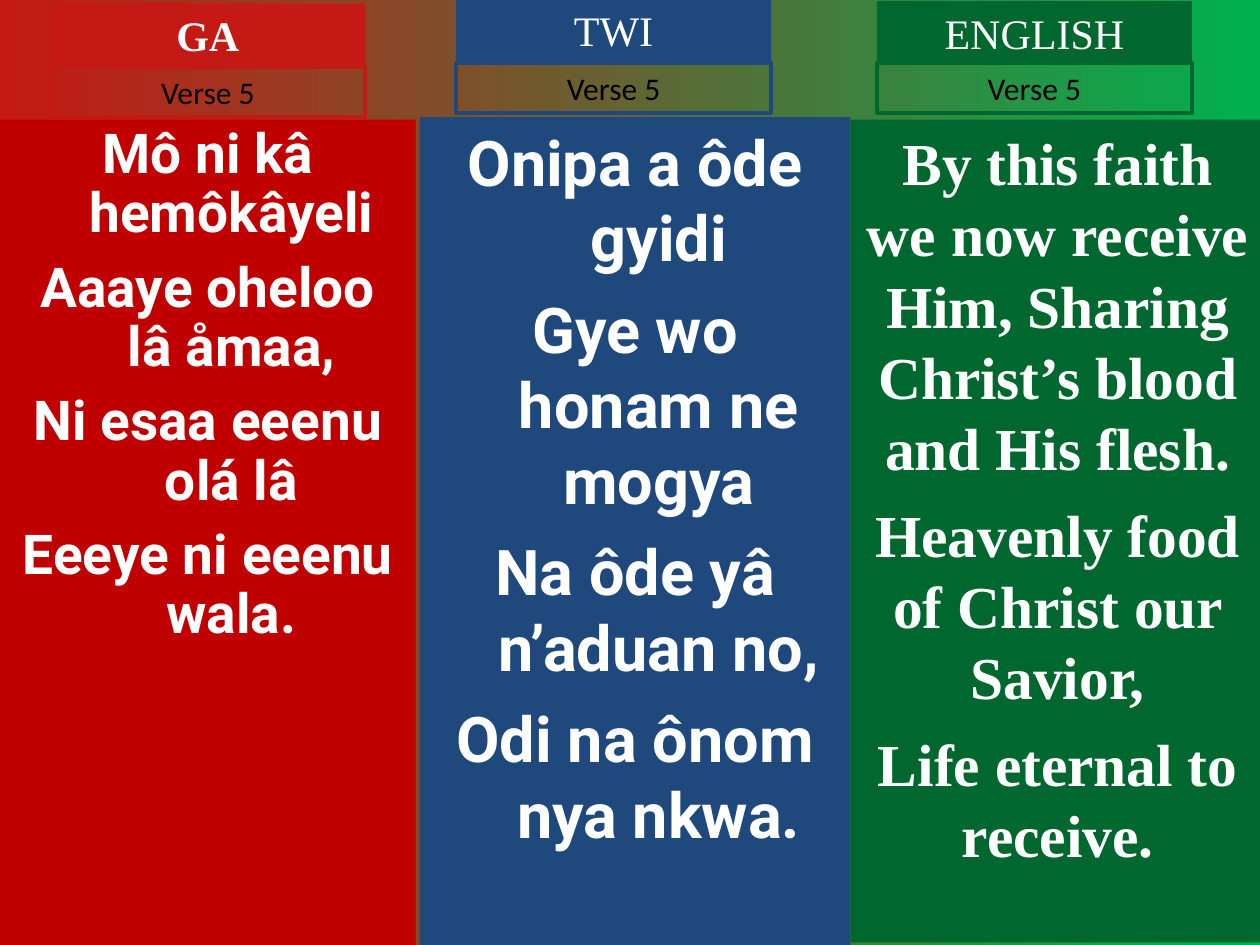
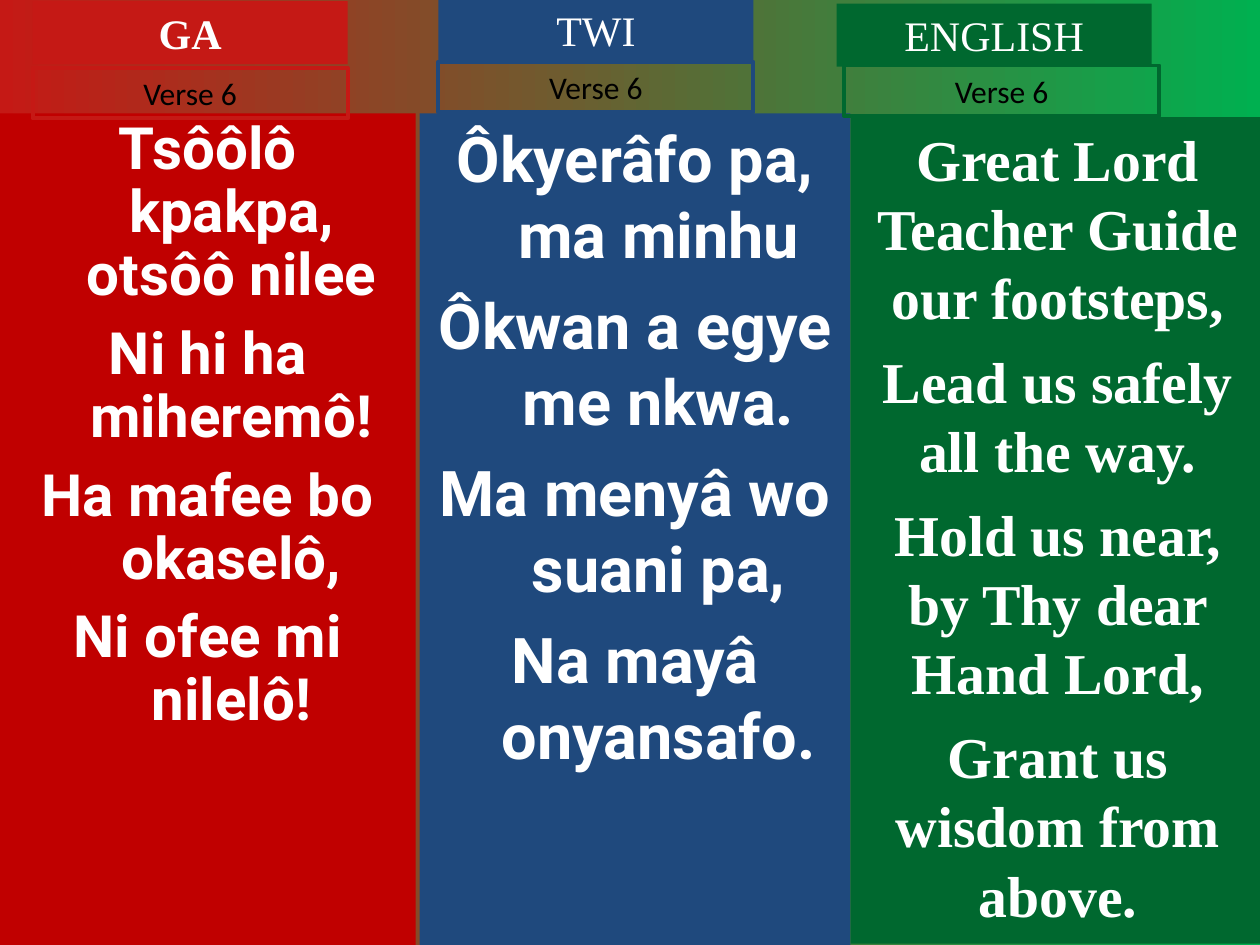
from pptx import Presentation
from pptx.dml.color import RGBColor
from pptx.enum.shapes import MSO_SHAPE
from pptx.enum.text import MSO_ANCHOR, MSO_AUTO_SIZE, PP_ALIGN
from pptx.util import Pt

RED = RGBColor(0xC0, 0x00, 0x00)
BRIGHT_RED = RGBColor(0xC5, 0x19, 0x15)
BLUE = RGBColor(0x1F, 0x49, 0x7D)
GREEN = RGBColor(0x00, 0x68, 0x2F)
BRIGHT_GREEN = RGBColor(0x00, 0xB0, 0x50)
WHITE = RGBColor(0xFF, 0xFF, 0xFF)
BLACK = RGBColor(0x00, 0x00, 0x00)
SERIF = "Times New Roman"

# language, panel colour, tag colour, panel left and width, panel font,
# hanging indent, line spacing, bold heading
COLUMNS = [
    ("GA", RED, BRIGHT_RED, 0, 237.6, "Roboto", 27, 0.9, True),
    ("TWI", BLUE, BLUE, 239.76, 246.24, "Roboto", 27, None, False),
    ("ENGLISH", GREEN, GREEN, 486, 236.88, SERIF, 0, None, False),
]

# For each column: panel top and height, heading position, verse tag position,
# text size, space between lines of the hymn, the lines
VERSES = [
    ("Verse 5", [
        (68.4, 471.6, (28.8, 2.16), (28.8, 38.16), 31.4, 8.5,
         ["Mô ni kâ hemôkâyeli", "Aaaye oheloo lâ åmaa,",
          "Ni esaa eeenu olá lâ", "Eeeye ni eeenu wala."]),
        (66.96, 473.04, (260.64, -0.72), (260.64, 36), 36, 9,
         ["Onipa a ôde gyidi", "Gye wo honam ne mogya",
          "Na ôde yâ n’aduan no,", "Odi na ônom nya nkwa."]),
        (68.4, 470.16, (501.12, 0.72), (501.12, 36), 34, 8.5,
         ["By this faith we now receive Him, Sharing Christ’s blood and His flesh.",
          "Heavenly food of Christ our Savior,", "Life eternal to receive."]),
    ]),
    ("Verse 6", [
        (64.8, 475.2, (18.72, 0.72), (18.72, 38.88), 33.3, 9,
         ["Tsôôlô kpakpa, otsôô nilee", "Ni hi ha miheremô!",
          "Ha mafee bo okaselô,", "Ni ofee mi nilelô!"]),
        (64.8, 475.2, (250.56, -0.72), (250.56, 35.28), 36, 9,
         ["Ôkyerâfo pa, ma minhu", "Ôkwan a egye me nkwa.",
          "Ma menyâ wo suani pa,", "Na mayâ onyansafo."]),
        (66.96, 472.32, (478.08, 2.16), (482.4, 37.44), 33, 8.2,
         ["Great Lord Teacher Guide our footsteps,", "Lead us safely all the way.",
          "Hold us near, by Thy dear Hand Lord,", "Grant us wisdom from above."]),
    ]),
]


def add_box(s, left, top, width, height, fill=None, line=None):
    """Add a flat rectangle with top-anchored, wrapping text."""
    sp = s.shapes.add_shape(MSO_SHAPE.RECTANGLE, Pt(left), Pt(top), Pt(width), Pt(height))
    sp.shadow.inherit = False
    if fill is None:
        sp.fill.background()
    else:
        sp.fill.solid()
        sp.fill.fore_color.rgb = fill
    if line is None:
        sp.line.fill.background()
    else:
        sp.line.color.rgb = line
        sp.line.width = Pt(2.25)
    sp.text_frame.word_wrap = True
    sp.text_frame.vertical_anchor = MSO_ANCHOR.TOP
    return sp.text_frame


def add_text(p, text, font, size, color, bold=False):
    p.alignment = PP_ALIGN.CENTER
    r = p.add_run()
    r.text = text
    r.font.name = font
    r.font.size = Pt(size)
    r.font.bold = bold
    r.font.color.rgb = color


prs = Presentation()
prs.slide_width, prs.slide_height = Pt(720), Pt(540)

for verse, panels in VERSES:
    s = prs.slides.add_slide(prs.slide_layouts[6])
    bg = s.background.fill
    bg.gradient()
    bg.gradient_angle = 0
    for stop, position, color in zip(bg.gradient_stops, (0, 1), (BRIGHT_RED, BRIGHT_GREEN)):
        stop.position = position
        stop.color.rgb = color

    for column, panel in zip(COLUMNS, panels):
        language, panel_color, tag_color, left, width, font, indent, spacing, bold = column
        top, height, heading_at, tag_at, size, gap, lines = panel

        tf = add_box(s, left, top, width, height, fill=panel_color)
        for i, line in enumerate(lines):
            p = tf.add_paragraph() if i else tf.paragraphs[0]
            if i:
                p.space_before = Pt(gap)
            if spacing:
                p.line_spacing = spacing
            if indent:
                pPr = p._p.get_or_add_pPr()
                pPr.set("marL", str(Pt(indent)))
                pPr.set("indent", str(-Pt(indent)))
            add_text(p, line, font, size, WHITE, bold=True)

        tf = add_box(s, *heading_at, 180, 36, fill=tag_color)
        tf.auto_size = MSO_AUTO_SIZE.SHAPE_TO_FIT_TEXT
        add_text(tf.paragraphs[0], language, SERIF, 24, WHITE, bold)

        tf = add_box(s, *tag_at, 180, 28.8, line=tag_color)
        tf.auto_size = MSO_AUTO_SIZE.SHAPE_TO_FIT_TEXT
        add_text(tf.paragraphs[0], verse, "Calibri", 18, BLACK)

prs.save("out.pptx")
